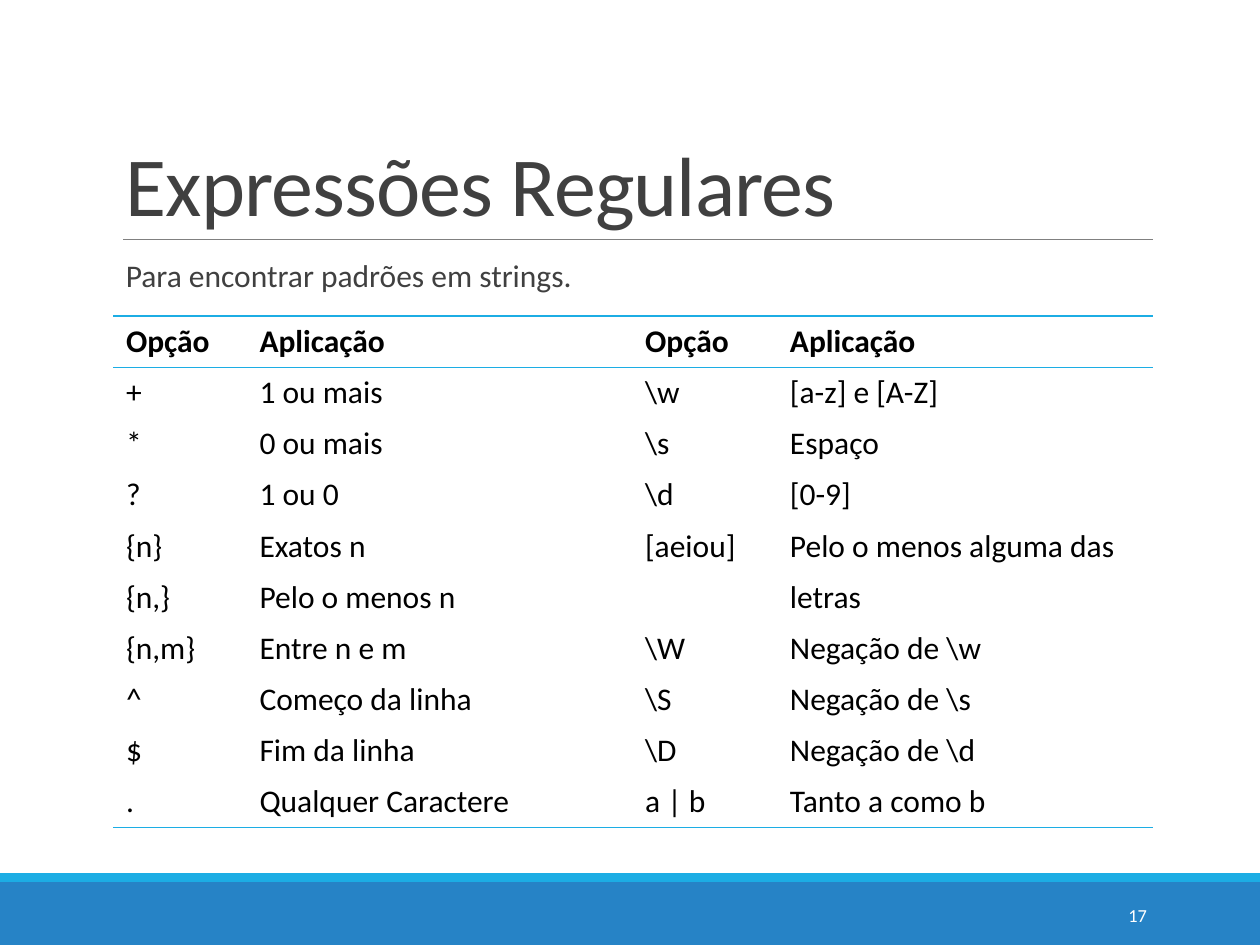
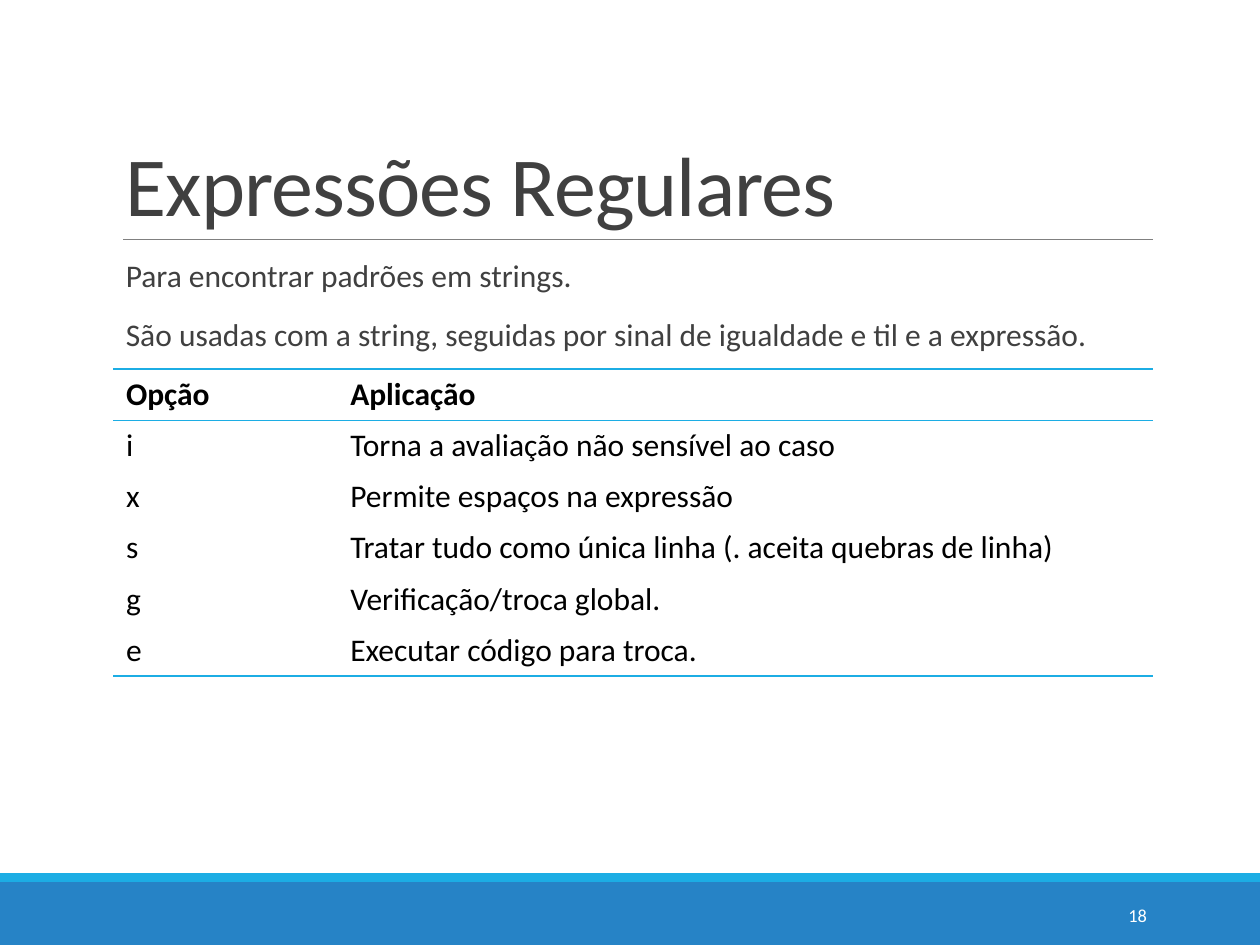
import pptx
import pptx.dml.color
import pptx.enum.shapes
import pptx.enum.text
import pptx.oxml
import pptx.oxml.ns
import pptx.util
from dataclasses import dataclass
from lxml import etree
from pptx.util import Inches


@dataclass(frozen=True)
class Theme:
    """Colours, font and type sizes of the presentation."""
    band: str = "2683C6"
    accent: str = "1CADE4"
    rule: str = "808080"
    text: str = "404040"
    table_text: str = "000000"
    white: str = "FFFFFF"
    font: str = "Calibri"
    title_size: float = 48
    body_size: float = 18
    number_size: float = 10.5


theme = Theme()
rgb = pptx.dml.color.RGBColor.from_string
NO_STYLE_NO_GRID = "{2D5ABB26-0587-4C30-8999-92F81FD0307C}"
LEFT, WIDTH, ROW_HEIGHT = 0.9, 8.25, 0.406


def write_text(frame, lines, size, color, bold=False):
    """Fill a text frame with one paragraph per line and return the paragraphs."""
    frame.word_wrap = True
    for index, line in enumerate(lines):
        paragraph = frame.add_paragraph() if index else frame.paragraphs[0]
        paragraph.text = line
        paragraph.font.name = theme.font
        paragraph.font.size = pptx.util.Pt(size)
        paragraph.font.color.rgb = rgb(color)
        paragraph.font.bold = bold
    return frame.paragraphs


def add_border(cell, side):
    """Draw a thin accent line on one side of a table cell: T or B."""
    properties = cell._tc.get_or_add_tcPr()
    properties.append(pptx.oxml.parse_xml(
        f'<a:ln{side} {pptx.oxml.ns.nsdecls("a")} w="12700"><a:solidFill>'
        f'<a:srgbClr val="{theme.accent}"/></a:solidFill></a:ln{side}>'))


contents = [
    dict(
        number="17",
        body=["Para encontrar padrões em strings."],
        body_height=0.38,
        table_top=2.51,
        columns=[1.06, 3.06, 1.15, 2.98],
        rows=[
            ["Opção", "Aplicação", "Opção", "Aplicação"],
            ["+", "1 ou mais", r"\w", "[a-z] e [A-Z]"],
            ["*", "0 ou mais", r"\s", "Espaço"],
            ["?", "1 ou 0", r"\d", "[0-9]"],
            ["{n}", "Exatos n", "[aeiou]", "Pelo o menos alguma das"],
            ["{n,}", "Pelo o menos n", "", "letras"],
            ["{n,m}", "Entre n e m", r"\W", r"Negação de \w"],
            ["^", "Começo da linha", r"\S", r"Negação de \s"],
            ["$", "Fim da linha", r"\D", r"Negação de \d"],
            [".", "Qualquer Caractere", "a | b", "Tanto a como b"],
        ],
    ),
    dict(
        number="18",
        body=[
            "Para encontrar padrões em strings.",
            "São usadas com a string, seguidas por sinal de igualdade e til e a expressão.",
        ],
        body_height=0.91,
        table_top=2.93,
        columns=[1.78, 6.47],
        rows=[
            ["Opção", "Aplicação"],
            ["i", "Torna a avaliação não sensível ao caso"],
            ["x", "Permite espaços na expressão"],
            ["s", "Tratar tudo como única linha (. aceita quebras de linha)"],
            ["g", "Verificação/troca global."],
            ["e", "Executar código para troca."],
        ],
    ),
]

presentation = pptx.Presentation()
presentation.slide_width = Inches(10)
presentation.slide_height = Inches(7.5)

for content in contents:
    slide = presentation.slides.add_slide(presentation.slide_layouts[6])

    # Footer bands and the rule under the title
    for top, height, color in [(7, 0.5, theme.band), (6.93, 0.07, theme.accent)]:
        band = slide.shapes.add_shape(
            pptx.enum.shapes.MSO_SHAPE.RECTANGLE,
            Inches(0), Inches(top), Inches(10), Inches(height))
        band.shadow.inherit = False
        band.fill.solid()
        band.fill.fore_color.rgb = rgb(color)
        band.line.fill.background()
    rule = slide.shapes.add_connector(
        pptx.enum.shapes.MSO_CONNECTOR.STRAIGHT,
        Inches(0.98), Inches(1.9), Inches(9.15), Inches(1.9))
    rule.line.color.rgb = rgb(theme.rule)
    rule.line.width = pptx.util.Pt(0.5)
    etree.SubElement(rule._element.spPr, pptx.oxml.ns.qn("a:effectLst"))

    # Title
    title = slide.shapes.add_textbox(
        Inches(LEFT), Inches(0.31), Inches(WIDTH), Inches(1.59)).text_frame
    title.vertical_anchor = pptx.enum.text.MSO_ANCHOR.BOTTOM
    paragraph = write_text(title, ["Expressões Regulares"], theme.title_size, theme.text)[0]
    paragraph.line_spacing = 0.85
    paragraph.runs[0].font._element.set("spc", "-50")

    # Introduction
    body = slide.shapes.add_textbox(
        Inches(LEFT), Inches(2.02), Inches(WIDTH), Inches(content["body_height"])).text_frame
    body.margin_left = Inches(0.1)
    body.margin_right = 0
    for paragraph in write_text(body, content["body"], theme.body_size, theme.text):
        paragraph.line_spacing = 0.9
        paragraph.space_before = pptx.util.Pt(12)
        paragraph.space_after = pptx.util.Pt(2)

    # Table of options
    rows = content["rows"]
    table = slide.shapes.add_table(
        len(rows), len(content["columns"]), Inches(LEFT), Inches(content["table_top"]),
        Inches(WIDTH), Inches(ROW_HEIGHT * len(rows))).table
    table.horz_banding = False
    table._tbl.tblPr.find(pptx.oxml.ns.qn("a:tableStyleId")).text = NO_STYLE_NO_GRID
    for column, width in zip(table.columns, content["columns"]):
        column.width = Inches(width)
    for row_index, row in enumerate(rows):
        table.rows[row_index].height = Inches(ROW_HEIGHT)
        is_header = row_index == 0
        for column_index, text in enumerate(row):
            cell = table.cell(row_index, column_index)
            write_text(cell.text_frame, [text], theme.body_size, theme.table_text, is_header)
            if is_header:
                add_border(cell, "T")
            if is_header or row_index == len(rows) - 1:
                add_border(cell, "B")
            cell.fill.background()

    # Slide number
    number = slide.shapes.add_textbox(
        Inches(8.12), Inches(7.06), Inches(1.08), Inches(0.4)).text_frame
    number.vertical_anchor = pptx.enum.text.MSO_ANCHOR.MIDDLE
    paragraph = write_text(number, [content["number"]], theme.number_size, theme.white)[0]
    paragraph.alignment = pptx.enum.text.PP_ALIGN.RIGHT

presentation.save("out.pptx")
